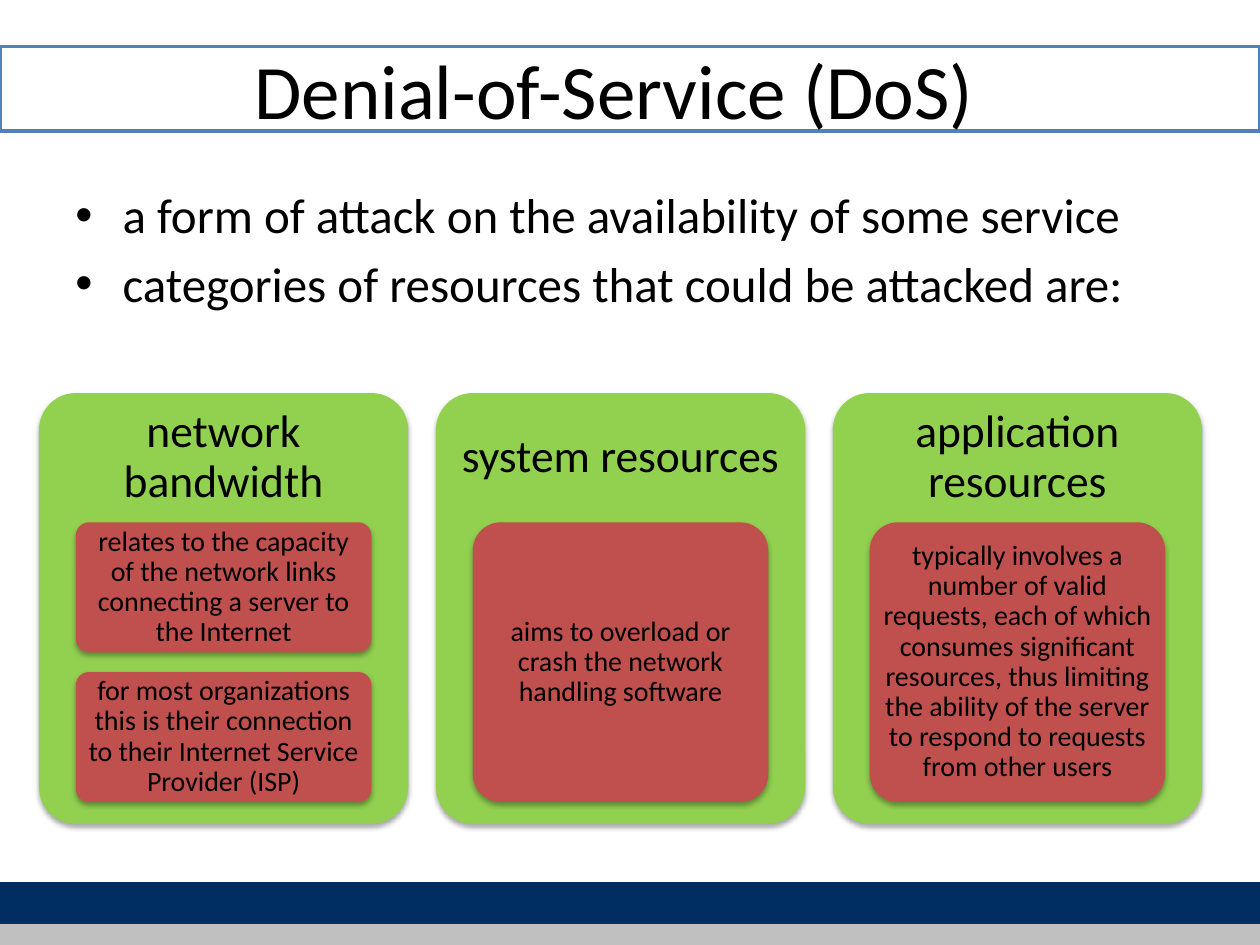
from lxml import etree
from pptx import Presentation
from pptx.dml.color import RGBColor
from pptx.enum import shapes, text
from pptx.oxml import ns
from pptx.util import Pt

# Content
TITLE = "Denial-of-Service (DoS)"
BULLETS = [
    "a form of attack on the availability of some service",
    "categories of resources that could be attacked are:",
]
CARDS = [
    ("network bandwidth", [
        "relates to the capacity of the network links connecting a server to the Internet",
        "for most organizations this is their connection to their Internet Service Provider (ISP)",
    ]),
    ("system resources", ["aims to overload or crash the network handling software"]),
    ("application resources", [
        "typically involves a number of valid requests, each of which consumes "
        "significant resources, thus limiting the ability of the server to respond "
        "to requests from other users",
    ]),
]

# Layout in points
WIDTH, HEIGHT = 720, 540
BANDS = [  # top, height, fill, line
    (504, 24, "002E62", None),
    (26.6, 48.2, None, "4F81BD"),
    (528, 12, "C0C0C0", None),
]
CARD_LEFT, CARD_TOP, CARD_WIDTH, CARD_HEIGHT, CARD_STEP = 22.3, 224.6, 211, 246.2, 226.8
DETAIL_TOP, DETAIL_HEIGHT, DETAIL_GAP = 298.5, 159.8, 11.3
ROUNDING = 0.1
CORNER_INSET = 0.29  # share of the corner radius that a rounded box keeps free of text


def color(value):
    return RGBColor.from_string(value)


def set_all(target, values):
    for name, value in values.items():
        setattr(target, name, value)


def set_margins(frame, left, top, right, bottom):
    set_all(frame, {"margin_left": Pt(left), "margin_top": Pt(top),
                    "margin_right": Pt(right), "margin_bottom": Pt(bottom)})


def format_font(paragraph, size):
    set_all(paragraph.font, {"name": "Calibri", "size": Pt(size)})
    paragraph.font.color.rgb = color("000000")


def add_child(parent, tag, **attributes):
    return etree.SubElement(parent, ns.qn(tag), attributes)


def add_box(kind, left, top, width, height, fill=None, line=None):
    shape = slide.shapes.add_shape(kind, Pt(left), Pt(top), Pt(width), Pt(height))
    shape.shadow.inherit = False
    if fill:
        shape.fill.solid()
        shape.fill.fore_color.rgb = color(fill)
    else:
        shape.fill.background()
    if line:
        shape.line.color.rgb = color(line)
        shape.line.width = Pt(2)
    else:
        shape.line.fill.background()
    return shape


def add_shadow(shape):
    effects = shape._element.spPr.find(ns.qn("a:effectLst"))
    shadow = add_child(effects, "a:outerShdw", blurRad=str(Pt(3.1)), dist=str(Pt(1.8)),
                       dir="5400000", rotWithShape="0")
    shade = add_child(shadow, "a:srgbClr", val="000000")
    add_child(shade, "a:alpha", val="35000")


def add_rounded(wording, size, fill, box, insets):
    shape = add_box(shapes.MSO_SHAPE.ROUNDED_RECTANGLE, *box, fill=fill)
    shape.adjustments[0] = ROUNDING
    add_shadow(shape)
    frame = shape.text_frame
    set_all(frame, {"word_wrap": True, "vertical_anchor": text.MSO_ANCHOR.MIDDLE})
    corner = CORNER_INSET * ROUNDING * min(box[2:])
    set_margins(frame, *(inset - corner for inset in insets))
    paragraph = frame.paragraphs[0]
    set_all(paragraph, {"text": wording, "alignment": text.PP_ALIGN.CENTER,
                        "line_spacing": 0.9})
    format_font(paragraph, size)


presentation = Presentation()
set_all(presentation, {"slide_width": Pt(WIDTH), "slide_height": Pt(HEIGHT)})
slide = presentation.slides.add_slide(presentation.slide_layouts[5])

# Bands across the slide
for top, height, fill, line in BANDS:
    add_box(shapes.MSO_SHAPE.RECTANGLE, 0, top, WIDTH, height, fill, line)

# Title, in front of its frame
title = slide.shapes.title
slide.shapes._spTree.append(title._element)
set_all(title, {"left": Pt(138.2), "top": Pt(5.8), "width": Pt(570), "height": Pt(90)})
set_all(title.text_frame, {"text": TITLE, "vertical_anchor": text.MSO_ANCHOR.MIDDLE})
set_margins(title.text_frame, 7.2, 3.6, 7.2, 3.6)
title.text_frame.paragraphs[0].alignment = text.PP_ALIGN.LEFT
format_font(title.text_frame.paragraphs[0], 44)

# Bulleted introduction
body = slide.shapes.add_textbox(Pt(36), Pt(102), Pt(648), Pt(110)).text_frame
body.word_wrap = True
for index, wording in enumerate(BULLETS):
    paragraph = body.add_paragraph() if index else body.paragraphs[0]
    paragraph.text = wording
    properties = paragraph._p.get_or_add_pPr()
    properties.set("marL", str(Pt(27)))
    properties.set("indent", str(Pt(-27)))
    add_child(properties, "a:buFont", typeface="Arial")
    add_child(properties, "a:buChar", char="•")
    paragraph.space_before = Pt(5.6 if index else 0)
    format_font(paragraph, 28)

# Resource cards with their details
for column, (heading, details) in enumerate(CARDS):
    left = CARD_LEFT + column * CARD_STEP
    add_rounded(heading, 26, "92D050", (left, CARD_TOP, CARD_WIDTH, CARD_HEIGHT),
                (7.8, 7.8, 7.8, 180))
    count = len(details)
    height = (DETAIL_HEIGHT - (count - 1) * DETAIL_GAP) / count
    insets = (7.2, 6.5, 7.2, 6.5) if count == 1 else (5, 4.3, 5, 4.3)
    for row, detail in enumerate(details):
        top = DETAIL_TOP + row * (height + DETAIL_GAP)
        add_rounded(detail, 16, "C0504D",
                    (left + 0.1 * CARD_WIDTH, top, 0.8 * CARD_WIDTH, height), insets)

presentation.save("out.pptx")
